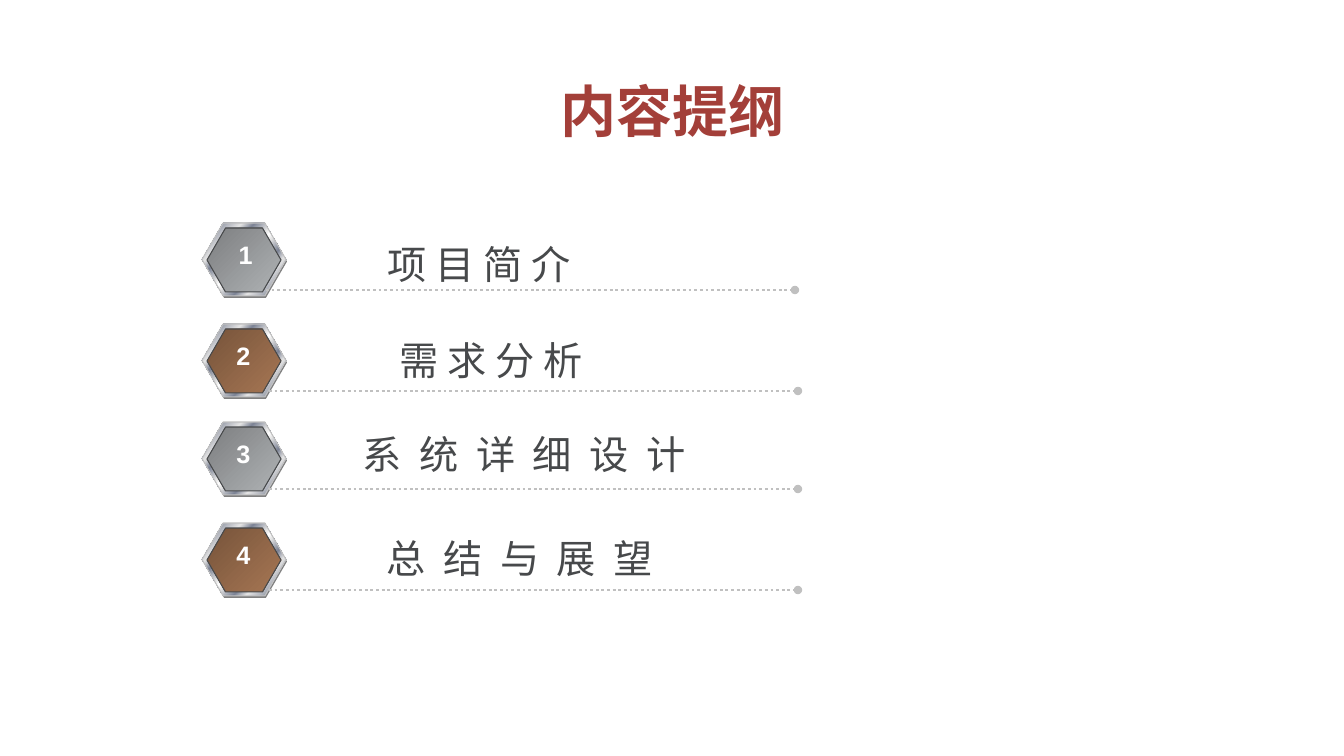
from typing import NamedTuple

from pptx import Presentation
from pptx.dml.color import RGBColor as RGB
from pptx.enum.dml import MSO_LINE
from pptx.enum.shapes import MSO_CONNECTOR, MSO_SHAPE
from pptx.enum.text import MSO_ANCHOR, PP_ALIGN
from pptx.oxml.ns import qn
from pptx.shapes.autoshape import Shape
from pptx.shapes.group import GroupShape as Group
from pptx.slide import Slide
from pptx.text.text import _Paragraph as Para
from pptx.util import Emu, Pt
from lxml.etree import SubElement as Sub

RED = RGB(0xA3, 0x3F, 0x39)
INK = RGB(0x47, 0x49, 0x4B)
WHITE = RGB(0xFF, 0xFF, 0xFF)
SHADE = RGB(0x80, 0x80, 0x80)
SILVER = RGB(0xC0, 0xC0, 0xC0)
LIGHT = RGB(0xE6, 0xE6, 0xE6)
STEEL = RGB(0x7D, 0x84, 0x96)
SANS = "Arial"
HAN = "Noto Sans CJK SC"

Stops = list[tuple[int, RGB]]
METAL: Stops = [
    (0, LIGHT), (8, STEEL), (26, LIGHT), (34, STEEL), (46, LIGHT), (50, WHITE),
    (54, LIGHT), (66, STEEL), (74, LIGHT), (92, STEEL), (100, LIGHT),
]
GRAY: Stops = [(0, RGB(0x7D, 0x7F, 0x81)), (100, RGB(0xAF, 0xB2, 0xB4))]
BROWN: Stops = [(0, RGB(0x77, 0x54, 0x3B)), (100, RGB(0xA6, 0x76, 0x53))]


class Item(NamedTuple):
    text: str
    font: str
    gap: int  # extra letter spacing, 1/100 pt
    top: int  # top of the badge
    x: int  # label place
    y: int
    wide: int
    core: Stops
    shift: int  # offset of the rule
    num: int  # left of the number


ITEMS = [
    Item("项 目 简 介", HAN, 0, 223, 378, 235, 258, GRAY, -3, 226),
    Item("需 求 分 析", HAN, 0, 324, 390, 331, 268, BROWN, 0, 224),
    Item("系 统 详 细 设 计", SANS, 315, 422, 353, 425, 365, GRAY, 0, 224),
    Item("总 结 与 展 望", SANS, 315, 523, 377, 529, 303, BROWN, 0, 224),
]


def px(n: int) -> Emu:
    return Emu(round(n * 914400 / 100.8))


def style(para: Para, size: int, color: RGB, name: str, bold: bool = False,
          gap: int = 0) -> None:
    font = para.font
    font.size, font.bold, font.name = Pt(size), bold, name
    font.color.rgb = color
    props = para._p.pPr.find(qn("a:defRPr"))
    Sub(props, qn("a:ea")).set("typeface", HAN)
    if gap:
        props.set("spc", str(gap))


def write(slide: Slide, text: str, x: int, y: int, w: int, h: int) -> Para:
    frame = slide.shapes.add_textbox(px(x), px(y), px(w), px(h)).text_frame
    frame.word_wrap = True
    para = frame.paragraphs[0]
    para.text = text
    return para


def blend(shape: Shape, stops: Stops) -> None:
    shape.fill.gradient()
    shape.fill.gradient_angle = 315
    track = shape._element.spPr.find(qn("a:gradFill")).find(qn("a:gsLst"))
    for old in list(track):
        track.remove(old)
    for pos, color in stops:
        stop = Sub(track, qn("a:gs"))
        stop.set("pos", str(pos * 1000))
        Sub(stop, qn("a:srgbClr")).set("val", str(color))


def hexagon(group: Group, x: int, y: int, w: int, h: int) -> Shape:
    shape = group.shapes.add_shape(MSO_SHAPE.HEXAGON, px(x), px(y), px(w), px(h))
    shape.adjustments[0] = 0.29
    shape.shadow.inherit = False
    return shape


def badge(slide: Slide, top: int, core: Stops) -> None:
    group = slide.shapes.add_group_shape()
    back = hexagon(group, 203, top + 2, 84, 73)
    back.fill.solid()
    back.fill.fore_color.rgb = SHADE
    back.line.fill.background()
    rim = hexagon(group, 202, top, 84, 73)
    face = hexagon(group, 207, top + 5, 74, 64)
    for shape, stops, edge in ((rim, METAL, SILVER), (face, core, INK)):
        blend(shape, stops)
        shape.line.color.rgb = edge
        shape.line.width = Pt(0.75)


def rule(slide: Slide, x: int, y: int) -> None:
    link = slide.shapes.add_connector(
        MSO_CONNECTOR.STRAIGHT, px(x), px(y), px(x + 529), px(y))
    link.line.color.rgb = SILVER
    link.line.width = Pt(2)
    link.line.dash_style = MSO_LINE.ROUND_DOT
    props = link._element.spPr
    Sub(props.find(qn("a:ln")), qn("a:tailEnd")).set("type", "oval")
    Sub(props, qn("a:effectLst"))


def main() -> None:
    deck = Presentation()
    deck.slide_width, deck.slide_height = px(1344), px(756)
    slide = deck.slides.add_slide(deck.slide_layouts[5])

    # Title
    title = slide.shapes.title
    title.left, title.top, title.width, title.height = map(px, (93, 51, 1159, 127))
    title.text_frame.vertical_anchor = MSO_ANCHOR.MIDDLE
    head = title.text_frame.paragraphs[0]
    head.text = "内容提纲"
    head.alignment = PP_ALIGN.CENTER
    head.line_spacing = 0.9
    style(head, 40, RED, SANS, bold=True)

    # Agenda rows
    for count, item in enumerate(ITEMS, 1):
        badge(slide, item.top, item.core)
        rule(slide, 269 + item.shift, item.top + 67)
        label = write(slide, item.text, item.x, item.y, item.wide, 57)
        style(label, 28, INK, item.font, gap=item.gap)
        digit = write(slide, str(count), item.num, item.top + 11, 39, 50)
        digit.alignment = PP_ALIGN.CENTER
        style(digit, 18, WHITE, SANS, bold=True)

    deck.save("out.pptx")


if __name__ == "__main__":
    main()
